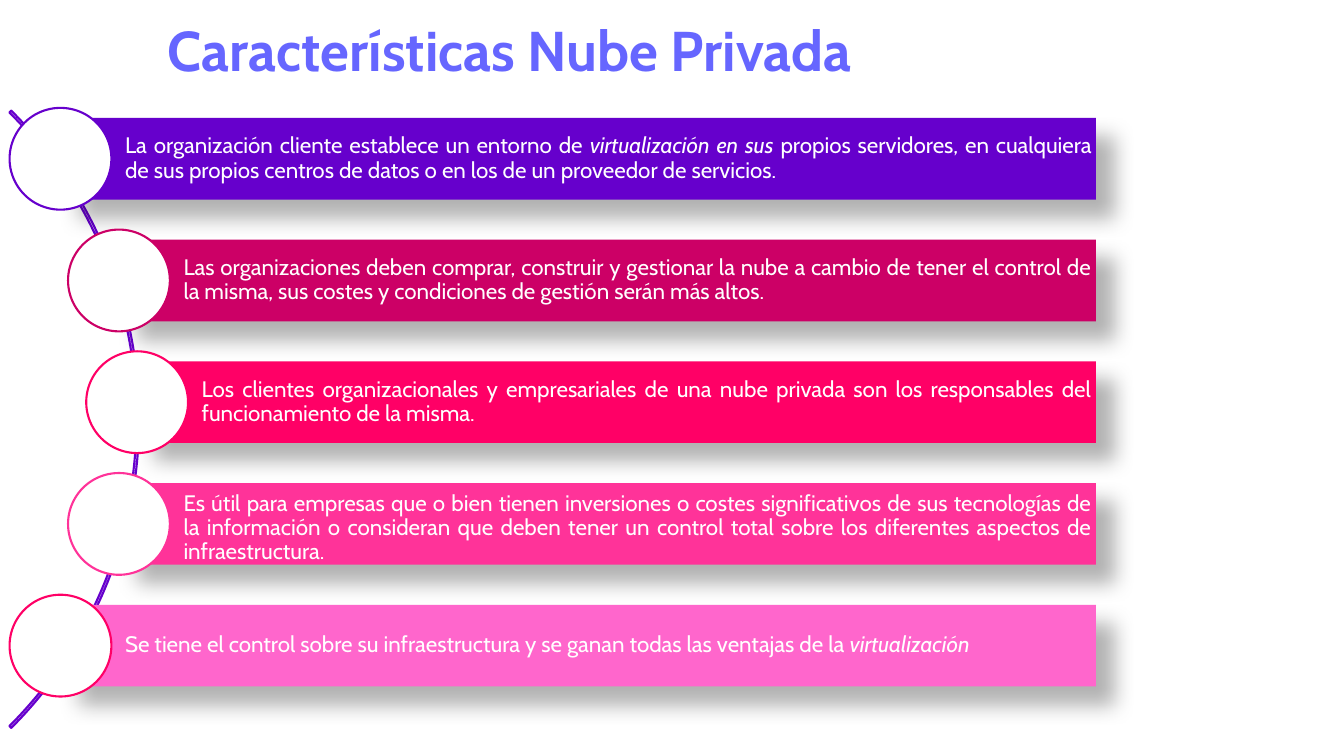
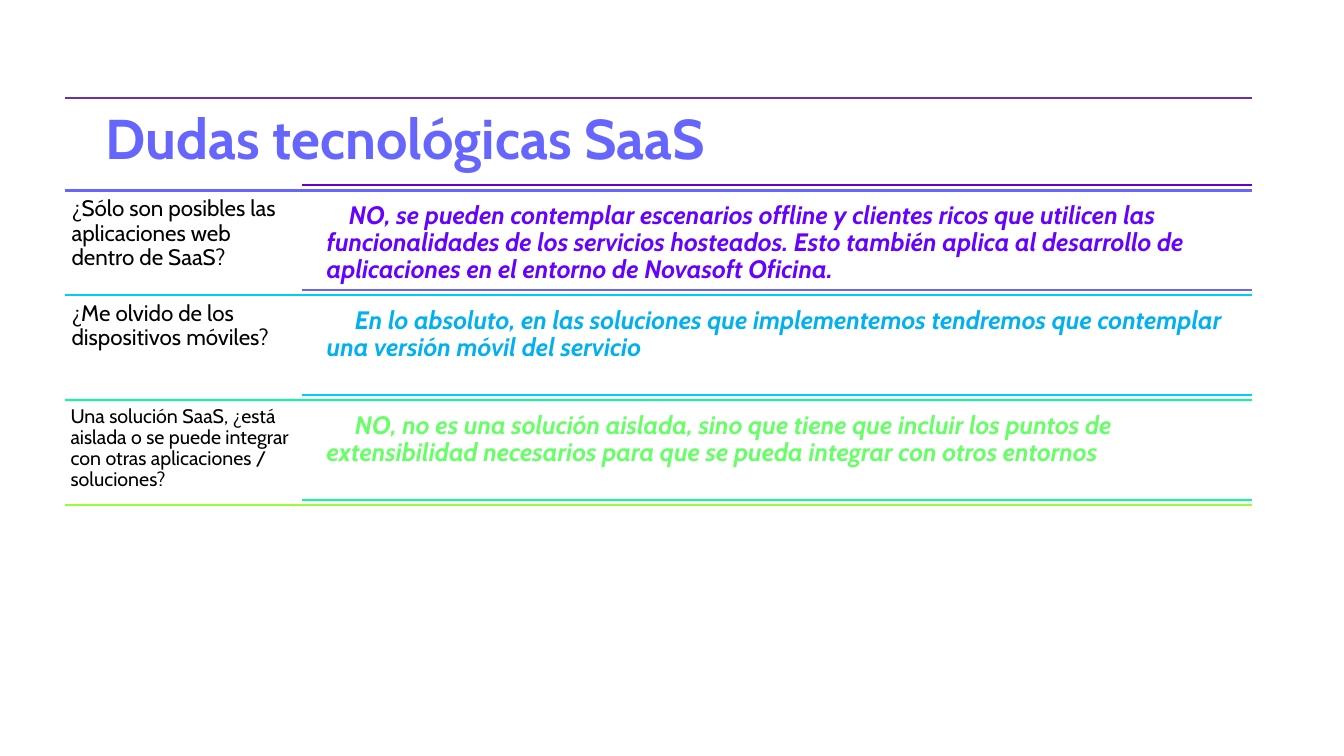
import lxml.etree
import pptx
import pptx.dml.color
import pptx.enum.shapes
import pptx.enum.text
import pptx.oxml.ns
import pptx.util

Inches = pptx.util.Inches
Pt = pptx.util.Pt
RGBColor = pptx.dml.color.RGBColor
Shape = pptx.enum.shapes.MSO_SHAPE
Align = pptx.enum.text.PP_ALIGN
Anchor = pptx.enum.text.MSO_ANCHOR
qn = pptx.oxml.ns.qn

WHITE = RGBColor(0xFF, 0xFF, 0xFF)
BLACK = RGBColor(0x00, 0x00, 0x00)
PURPLE = RGBColor(0x66, 0x00, 0xCC)
VIOLET = RGBColor(0x66, 0x00, 0xFF)
PLUM = RGBColor(0x70, 0x30, 0xA0)
PERIWINKLE = RGBColor(0x66, 0x66, 0xFF)
CRIMSON = RGBColor(0xCC, 0x00, 0x66)
RASPBERRY = RGBColor(0xFF, 0x00, 0x66)
PINK = RGBColor(0xFF, 0x33, 0x99)
ORCHID = RGBColor(0xFF, 0x66, 0xCC)
CYAN = RGBColor(0x00, 0xCC, 0xFF)
SKY = RGBColor(0x00, 0xB0, 0xF0)
MINT = RGBColor(0x00, 0xFF, 0x99)
AQUA = RGBColor(0x00, 0xFF, 0xCC)
GREEN = RGBColor(0x66, 0xFF, 0x66)
LIME = RGBColor(0x99, 0xFF, 0x33)


def add_solid_fill(parent, color, alpha=None):
    """Append a colour to an XML element; alpha is a percentage for a shadow."""
    holder = parent if alpha else lxml.etree.SubElement(parent, qn("a:solidFill"))
    tone = lxml.etree.SubElement(holder, qn("a:srgbClr"), val=str(color))
    if alpha:
        lxml.etree.SubElement(tone, qn("a:alpha"), val=str(alpha * 1000))


class Deck:
    """Shared style and the slide being built."""

    FONT = "Cabin"
    LINE_WIDTH = Pt(1.5)
    TITLE_LAYOUT = 5

    def __init__(self):
        self.presentation = pptx.Presentation()
        self.presentation.slide_width = Inches(13.33)
        self.presentation.slide_height = Inches(7.5)
        self.slide = None

    def start_slide(self, title, left, top, width):
        layout = self.presentation.slide_layouts[self.TITLE_LAYOUT]
        self.slide = self.presentation.slides.add_slide(layout)
        heading = self.slide.shapes.title
        heading.left, heading.top = Inches(left), Inches(top)
        heading.width, heading.height = Inches(width), Inches(0.77)
        frame = heading.text_frame
        frame.auto_size = pptx.enum.text.MSO_AUTO_SIZE.NONE
        frame.vertical_anchor = Anchor.TOP
        frame.paragraphs[0].alignment = Align.CENTER
        run = self.run(frame.paragraphs[0], title, 40, PERIWINKLE, bold=True)
        outline = lxml.etree.Element(qn("a:ln"), w=str(Pt(0.75)))
        add_solid_fill(outline, AQUA)
        run.font._element.insert(0, outline)

    def run(self, paragraph, text, size, color, bold=False, italic=False):
        run = paragraph.add_run()
        run.text = text
        font = run.font
        font.name, font.size = self.FONT, Pt(size)
        font.bold, font.italic = bold, italic
        font.color.rgb = color
        return run

    def shape(self, kind, left, top, width, height, fill=None, outline=None):
        shape = self.slide.shapes.add_shape(
            kind, Inches(left), Inches(top), Inches(width), Inches(height))
        shape.shadow.inherit = False
        if fill is None:
            shape.fill.background()
        else:
            shape.fill.solid()
            shape.fill.fore_color.rgb = fill
        if outline is None:
            shape.line.fill.background()
        else:
            shape.line.color.rgb = outline
            shape.line.width = self.LINE_WIDTH
        return shape

    def arc(self, left, top, diameter, color):
        """Thin quarter ring, from -45 to 45 degrees."""
        arc = self.shape(Shape.BLOCK_ARC, left, top, diameter, diameter, outline=color)
        for index, value in enumerate((189, 27, 0.003)):
            arc.adjustments[index] = value

    def circle(self, left, top, diameter, color):
        self.shape(Shape.OVAL, left, top, diameter, diameter, WHITE, color)

    def bar(self, left, top, width, height, fill, pieces, top_inset):
        """Shadowed bar; pieces are (text, italic) pairs."""
        bar = self.shape(Shape.RECTANGLE, left, top, width, height, fill)
        effects = bar._element.spPr.find(qn("a:effectLst"))
        shadow = lxml.etree.SubElement(
            effects, qn("a:outerShdw"), blurRad=str(Pt(15)), dist=str(Pt(18)),
            dir=str(45 * 60000), algn="tl", rotWithShape="0")
        add_solid_fill(shadow, BLACK, 30)
        frame = bar.text_frame
        frame.word_wrap = True
        frame.vertical_anchor = Anchor.MIDDLE
        frame.margin_left, frame.margin_top = Inches(0.64), Inches(top_inset)
        frame.margin_right = frame.margin_bottom = Inches(0.04)
        paragraph = frame.paragraphs[0]
        paragraph.alignment = Align.JUSTIFY
        paragraph.line_spacing = 0.9
        for text, italic in pieces:
            self.run(paragraph, text, 16, WHITE, italic=italic)

    def text(self, left, top, width, height, text, size, color,
             inset=0.07, indent=0, emphasis=False):
        box = self.slide.shapes.add_textbox(
            Inches(left), Inches(top), Inches(width), Inches(height))
        frame = box.text_frame
        frame.word_wrap = True
        frame.margin_left = frame.margin_right = Inches(inset)
        frame.margin_top = frame.margin_bottom = Inches(inset)
        paragraph = frame.paragraphs[0]
        properties = paragraph._p.get_or_add_pPr()
        properties.set("marL", "0")
        properties.set("indent", str(Inches(indent)))
        paragraph.line_spacing = 0.9
        self.run(paragraph, text, size, color, emphasis, emphasis)

    def rule(self, left, right, y, color):
        rule = self.slide.shapes.add_connector(
            pptx.enum.shapes.MSO_CONNECTOR.STRAIGHT,
            Inches(left), Inches(y), Inches(right), Inches(y))
        rule.line.color.rgb = color
        rule.line.width = self.LINE_WIDTH
        lxml.etree.SubElement(rule._element.spPr, qn("a:effectLst"))


def build_features(deck):
    deck.start_slide("Características Nube Privada", 0.37, 0.1, 9.37)
    deck.arc(-7.28, -0.17, 8.66, PURPLE)
    right, first_top, pitch, height, diameter = 10.87, 1.17, 1.2075, 0.81, 1.01
    features = [
        (0.6, PURPLE, PURPLE, 0.04, [
            ("La organización cliente establece un entorno de ", False),
            ("virtualización en sus ", True),
            ("propios servidores, en cualquiera de sus propios centros de datos "
             "o en los de un proveedor de servicios.", False)]),
        (1.18, CRIMSON, CRIMSON, 0.04, [
            ("Las organizaciones deben comprar, construir y gestionar la nube a "
             "cambio de tener el control de la misma, sus costes y condiciones de "
             "gestión serán más altos.", False)]),
        (1.36, RASPBERRY, RASPBERRY, 0.04, [
            ("Los clientes organizacionales y empresariales de una nube privada son "
             "los responsables del funcionamiento de la misma.", False)]),
        (1.18, PINK, PINK, 0.13, [
            ("Es útil para empresas que o bien tienen inversiones o costes "
             "significativos de sus tecnologías de la información o consideran que "
             "deben tener un control total sobre los diferentes aspectos de "
             "infraestructura.", False)]),
        (0.6, ORCHID, RASPBERRY, 0.04, [
            ("Se tiene el control sobre su infraestructura y se ganan todas las "
             "ventajas de la ", False),
            ("virtualización", True)]),
    ]
    for row, (left, fill, ring, top_inset, pieces) in enumerate(features):
        top = first_top + row * pitch
        deck.bar(left, top, right - left, height, fill, pieces, top_inset)
        deck.circle(left - diameter / 2, top + (height - diameter) / 2, diameter, ring)


def build_questions(deck):
    deck.start_slide("Dudas tecnológicas SaaS", 0.16, 0.98, 7.72)
    left, answer_left, right = 0.64, 3, 12.42
    first_top, pitch, gap = 1.89, 1.04, 0.05
    deck.rule(left, right, 0.97, PLUM)
    rule_colors = [PURPLE, PERIWINKLE, CYAN, MINT, LIME]
    for row, (upper, lower) in enumerate(zip(rule_colors, rule_colors[1:])):
        y = first_top + row * pitch
        deck.rule(answer_left, right, y - gap, upper)
        deck.rule(left, right, y, lower)

    questions = [
        ("¿Sólo son posibles las aplicaciones web dentro de SaaS?", 16, 0.07,
         "NO, se pueden contemplar escenarios offline y clientes ricos que utilicen "
         "las funcionalidades de los servicios hosteados. Esto también aplica al "
         "desarrollo de aplicaciones en el entorno de Novasoft Oficina.",
         VIOLET, 0.22),
        ("¿Me olvido de los dispositivos móviles?", 16, 0.07,
         "En lo absoluto, en las soluciones que implementemos tendremos que "
         "contemplar una versión móvil del servicio", SKY, 0.28),
        ("Una solución SaaS, ¿está aislada o se puede integrar con otras "
         "aplicaciones / soluciones?", 14, 0.06,
         "NO, no es una solución aislada, sino que tiene que incluir los puntos de "
         "extensibilidad necesarios para que se pueda integrar con otros entornos",
         GREEN, 0.28),
    ]
    for row, (question, size, inset, answer, color, indent) in enumerate(questions):
        top = first_top + row * pitch
        deck.text(left, top, answer_left - left, pitch, question, size, BLACK, inset)
        deck.text(3.17, top + gap, 9.25, pitch - 2 * gap, answer, 18, color,
                  indent=indent, emphasis=True)


def main():
    deck = Deck()
    build_features(deck)
    build_questions(deck)
    deck.presentation.save("out.pptx")


if __name__ == "__main__":
    main()
